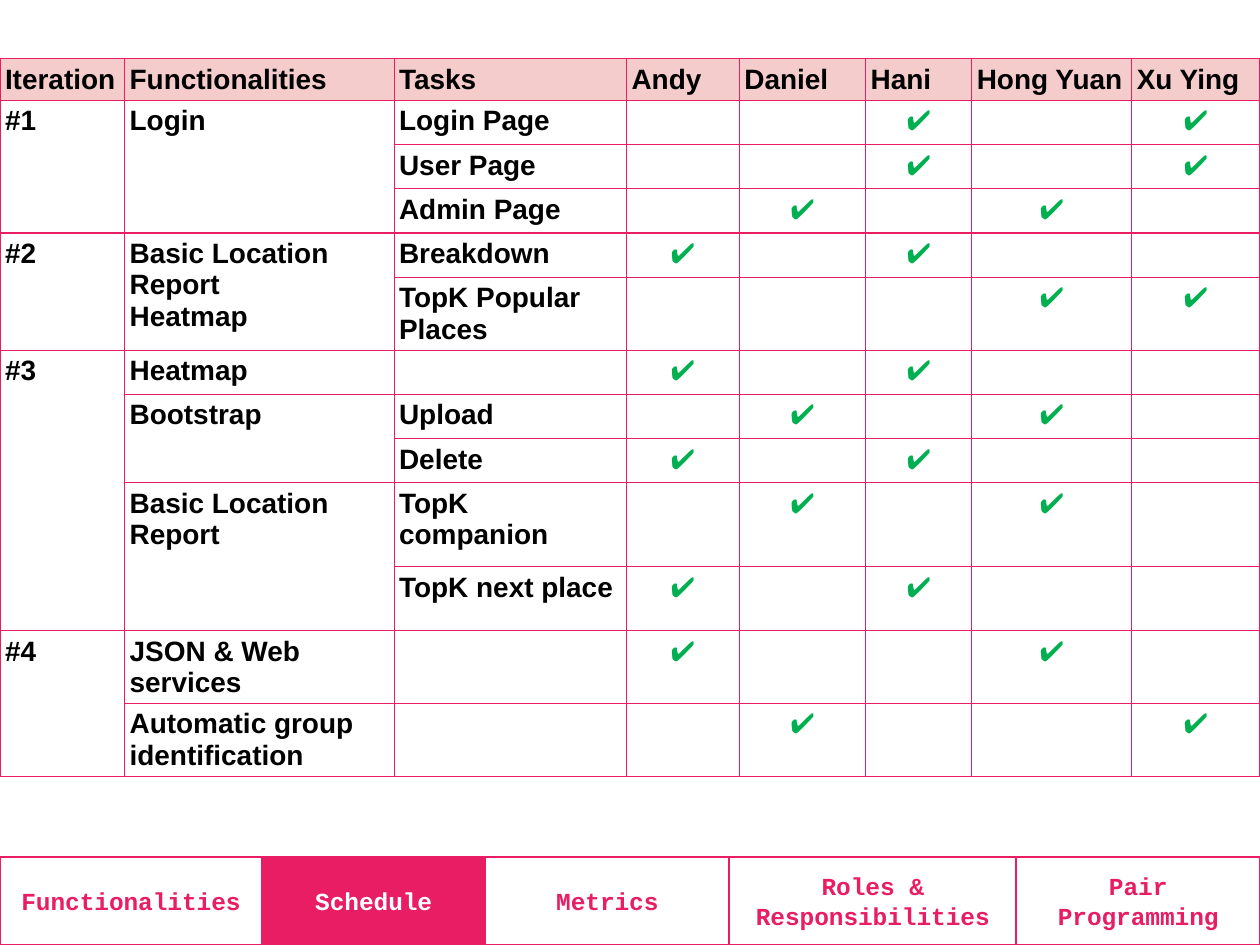
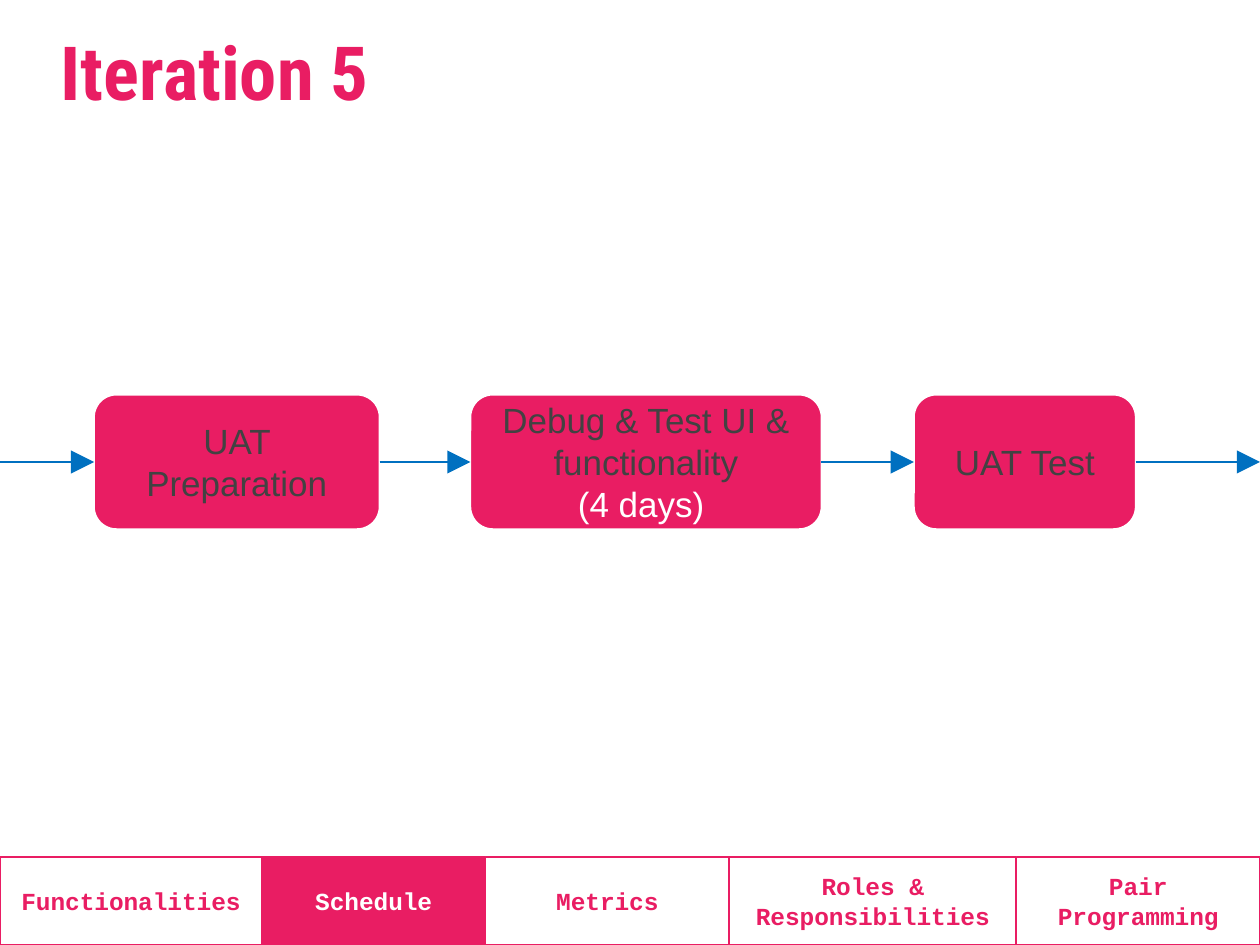
"""Build the schedule slides of a project review."""
from dataclasses import dataclass
from itertools import accumulate

from lxml import etree
from pptx import Presentation
from pptx.dml.color import RGBColor
from pptx.enum.shapes import MSO_CONNECTOR, MSO_SHAPE
from pptx.enum.text import MSO_ANCHOR, PP_ALIGN
from pptx.oxml.ns import qn
from pptx.util import Inches, Pt

STRAIGHT = MSO_CONNECTOR.STRAIGHT
RECTANGLE, ROUNDED = MSO_SHAPE.RECTANGLE, MSO_SHAPE.ROUNDED_RECTANGLE
TOP, MIDDLE, BOTTOM = MSO_ANCHOR.TOP, MSO_ANCHOR.MIDDLE, MSO_ANCHOR.BOTTOM
LEFT, CENTER = PP_ALIGN.LEFT, PP_ALIGN.CENTER
LEFT_SIDE, RIGHT_SIDE = 1, 3


@dataclass(frozen=True)
class Theme:
    """Colours, fonts, type sizes and line widths of the deck."""
    pink: str = "E91D63"
    blush: str = "F4CCCC"
    white: str = "FFFFFF"
    black: str = "000000"
    grey: str = "424242"
    green: str = "00B050"
    blue: str = "0070C0"
    body_font: str = "Arial"
    nav_font: str = "Courier New"
    title_font: str = "Roboto Condensed"
    title_size: float = 32
    step_size: float = 15
    table_size: float = 12
    nav_size: float = 10.5
    line: float = 0.75
    border: float = 0.5
    inset: float = 0.07
    cell_inset: float = 0.03


THEME = Theme()
WIDTH = 7.5
HEIGHT = WIDTH * 3 / 4
NAV_TOP = 5.1
NAV_BOX = (0, NAV_TOP, WIDTH, HEIGHT - NAV_TOP)
TABLE_BOX = (0, 0.35, WIDTH, 3.78)
TITLE_BOX = (0.29, 0.22, 6.08, 0.54)
FLOW_BOX = (0, 2.35, WIDTH, 0.8)

SECTIONS = {"Functionalities": 1.56, "Schedule": 1.33, "Metrics": 1.45,
            "Roles & Responsibilities": 1.71, "Pair Programming": 1.45}
COLUMNS = {"Iteration": 0.74, "Functionalities": 1.6, "Tasks": 1.38, "Andy": 0.67,
           "Daniel": 0.75, "Hani": 0.63, "Hong Yuan": 0.95, "Xu Ying": 0.76}
HEADER_ROW = 0.22
TASKS = [
    (0.22, "#1", "Login", "Login Page", ("Hani", "Xu Ying")),
    (0.22, "", "", "User Page", ("Hani", "Xu Ying")),
    (0.22, "", "", "Admin Page", ("Daniel", "Hong Yuan")),
    (0.22, "#2", "Basic Location Report\nHeatmap", "Breakdown", ("Andy", "Hani")),
    (0.38, "", "", "TopK Popular Places", ("Hong Yuan", "Xu Ying")),
    (0.22, "#3", "Heatmap", "", ("Andy", "Hani")),
    (0.22, "", "Bootstrap", "Upload", ("Daniel", "Hong Yuan")),
    (0.22, "", "", "Delete", ("Andy", "Hani")),
    (0.5, "", "Basic Location Report", "TopK companion", ("Daniel", "Hong Yuan")),
    (0.38, "", "", "TopK next place", ("Andy", "Hani")),
    (0.38, "#4", "JSON & Web services", "", ("Andy", "Hong Yuan")),
    (0.38, "", "Automatic group identification", "", ("Daniel", "Xu Ying")),
]
STEPS = [("UAT Preparation", ""), ("Debug & Test UI & functionality", "(4 days) "),
         ("UAT Test", "")]
FLOW_TRACKS = (0.56, 1.7, 0.54, 2.09, 0.55, 1.32, 0.74)


def rgb(value):
    """Turn a hex string into a colour."""
    return RGBColor.from_string(value)


def tracks(start, length, weights):
    """Divide a length by weights into (start, size) pairs."""
    unit = length / sum(weights)
    sizes = [weight * unit for weight in weights]
    edges = accumulate(sizes, initial=start)
    return list(zip(edges, sizes))


def write(frame, text, *, size, color, font=THEME.body_font, bold=False, align=LEFT,
          anchor=TOP, inset=THEME.inset, note="", note_color=THEME.white):
    """Fill a text frame, with an optional note on a line of its own."""
    frame.word_wrap = True
    frame.vertical_anchor = anchor
    frame.margin_left = frame.margin_right = Inches(inset)
    frame.margin_top = frame.margin_bottom = Inches(inset)
    for index, line in enumerate(text.split("\n")):
        paragraph = frame.add_paragraph() if index else frame.paragraphs[0]
        paragraph.alignment = align
        runs = [(line, color)]
        if note:
            runs.append((note, note_color))
        for position, (words, shade) in enumerate(runs):
            if position:
                paragraph.add_line_break()
            run = paragraph.add_run()
            run.text = words
            run.font.name, run.font.size, run.font.bold = font, Pt(size), bold
            run.font.color.rgb = rgb(shade)
            for script in ("ea", "cs", "sym"):
                etree.SubElement(run._r.rPr, qn(f"a:{script}"), typeface=font)


def add_block(slide, box, preset, fill, line):
    """Add a filled and outlined shape without shadow."""
    block = slide.shapes.add_shape(preset, *map(Inches, box))
    block.shadow.inherit = False
    block.fill.solid()
    block.fill.fore_color.rgb = rgb(fill)
    block.line.color.rgb = rgb(line)
    block.line.width = Pt(THEME.line)
    return block


def add_arrow(slide, start, end, y, source, target):
    """Add a level arrow, joined to the steps it touches."""
    arrow = slide.shapes.add_connector(STRAIGHT, *map(Inches, (start, y, end, y)))
    if source is not None:
        arrow.begin_connect(source, RIGHT_SIDE)
    if target is not None:
        arrow.end_connect(target, LEFT_SIDE)
    arrow.line.color.rgb = rgb(THEME.blue)
    arrow.line.width = Pt(THEME.line)
    outline = arrow.line._get_or_add_ln()
    etree.SubElement(outline, qn("a:tailEnd"), type="triangle", w="lg", len="lg")
    etree.SubElement(arrow._element.spPr, qn("a:effectLst"))


def draw_nav(slide, box, current):
    """Draw the section bar with the current section filled."""
    left, top, width, height = box
    spans = tracks(left, width, SECTIONS.values())
    for section, (x, span) in zip(SECTIONS, spans):
        active = section == current
        fill, ink = (THEME.pink, THEME.white) if active else (THEME.white, THEME.pink)
        tab = add_block(slide, (x, top, span, height), RECTANGLE, fill, THEME.pink)
        write(tab.text_frame, section, size=THEME.nav_size, color=ink,
              font=THEME.nav_font, bold=True, align=CENTER, anchor=MIDDLE)


def draw_title(slide, box, title):
    """Draw the slide title."""
    heading = slide.shapes.add_textbox(*map(Inches, box))
    write(heading.text_frame, title, size=THEME.title_size, color=THEME.pink,
          font=THEME.title_font, bold=True, anchor=BOTTOM)


def style_cell(cell, fill):
    """Set the fill, borders and empty-line size of a table cell."""
    properties = cell._tc.get_or_add_tcPr()
    for index, side in enumerate(("lnL", "lnR", "lnT", "lnB")):
        border = etree.Element(qn(f"a:{side}"), w=str(Pt(THEME.border)))
        paint = etree.SubElement(border, qn("a:solidFill"))
        etree.SubElement(paint, qn("a:srgbClr"), val=THEME.pink)
        properties.insert(index, border)
    if fill:
        cell.fill.solid()
        cell.fill.fore_color.rgb = rgb(fill)
    else:
        cell.fill.background()
    cell.margin_left = cell.margin_right = Inches(THEME.cell_inset)
    cell.margin_top = cell.margin_bottom = Inches(THEME.cell_inset)
    ending = cell.text_frame.paragraphs[0]._p.get_or_add_endParaRPr()
    ending.set("sz", str(THEME.table_size * 100))


def merge_groups(table, rows, column):
    """Merge each filled cell of a column with the blank cells below it."""
    starts = [index for index, row in enumerate(rows) if row[column]]
    for start, following in zip(starts, starts[1:] + [len(rows)]):
        if following - start > 1:
            table.cell(start, column).merge(table.cell(following - 1, column))


def draw_schedule(slide, box):
    """Draw the table of tasks and the people who do them."""
    left, top, width, height = box
    names = list(COLUMNS)
    people = names[3:]
    rows = [names] + [[*labels, *("✔" if person in team else "" for person in people)]
                      for _, *labels, team in TASKS]
    frame = slide.shapes.add_table(len(rows), len(names), *map(Inches, box))
    table = frame.table
    table.first_row = table.horz_banding = False
    for column, (_, span) in zip(table.columns, tracks(left, width, COLUMNS.values())):
        column.width = Inches(span)
    row_weights = [HEADER_ROW] + [task[0] for task in TASKS]
    for row, (_, span) in zip(table.rows, tracks(top, height, row_weights)):
        row.height = Inches(span)
    for row_index, row in enumerate(rows):
        for column_index, text in enumerate(row):
            cell = table.cell(row_index, column_index)
            style_cell(cell, None if row_index else THEME.blush)
            if text:
                mark = text == "✔"
                write(cell.text_frame, text, size=THEME.table_size, bold=True,
                      color=THEME.green if mark else THEME.black,
                      align=CENTER if mark else LEFT, inset=THEME.cell_inset)
    for column_index in (0, 1):
        merge_groups(table, rows, column_index)


def draw_flow(slide, box):
    """Draw the steps in a row, with arrows in the gaps."""
    left, top, width, height = box
    spans = tracks(left, width, FLOW_TRACKS)
    steps = []
    for (label, note), (x, span) in zip(STEPS, spans[1::2]):
        step = add_block(slide, (x, top, span, height), ROUNDED, THEME.pink, THEME.white)
        write(step.text_frame, label, size=THEME.step_size, color=THEME.grey,
              align=CENTER, anchor=MIDDLE, note=note)
        steps.append(step)
    for (x, span), source, target in zip(spans[::2], [None, *steps], [*steps, None]):
        add_arrow(slide, x, x + span, top + height / 2, source, target)


def add_page(deck):
    """Add a blank slide with the section bar."""
    slide = deck.slides.add_slide(deck.slide_layouts[6])
    draw_nav(slide, NAV_BOX, "Schedule")
    return slide


def main():
    """Build and save the deck."""
    deck = Presentation()
    deck.slide_width, deck.slide_height = Inches(WIDTH), Inches(HEIGHT)
    draw_schedule(add_page(deck), TABLE_BOX)
    iteration = add_page(deck)
    draw_flow(iteration, FLOW_BOX)
    draw_title(iteration, TITLE_BOX, "Iteration 5")
    deck.save("out.pptx")


if __name__ == "__main__":
    main()
